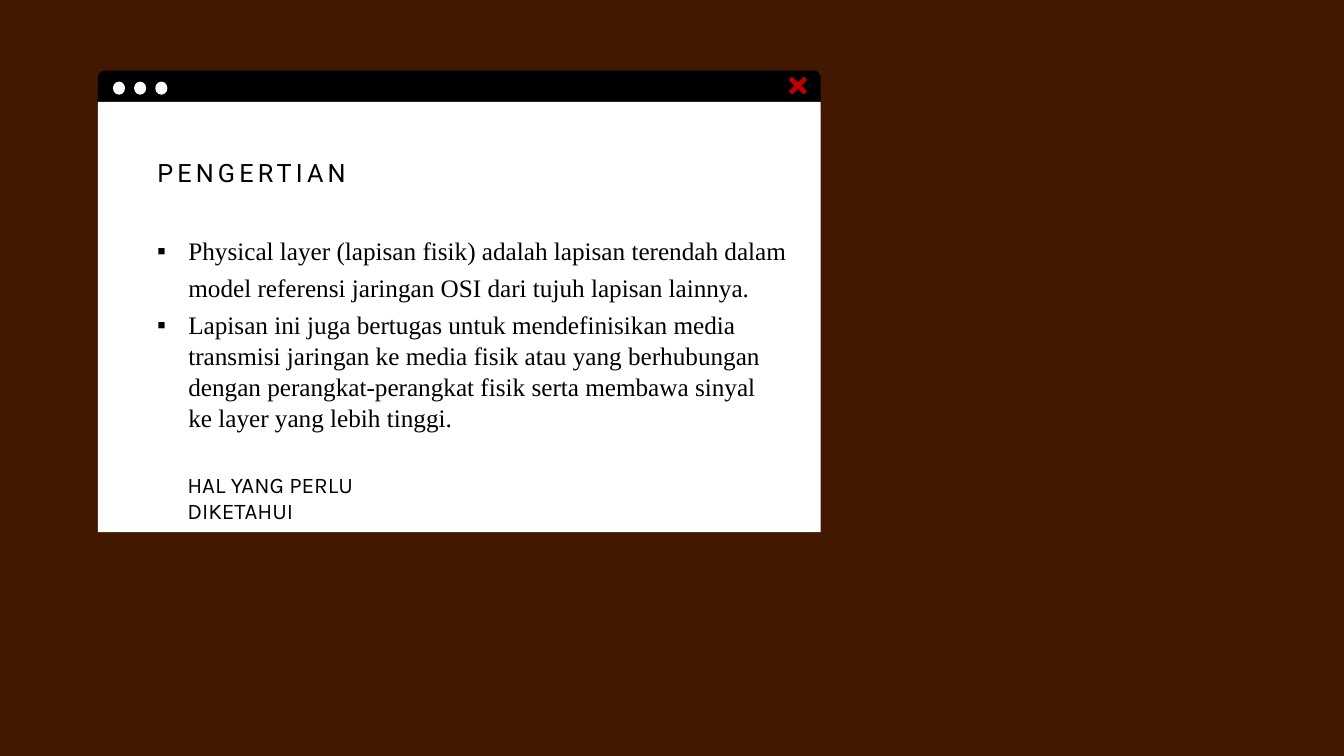
import typing
from dataclasses import dataclass

import pptx
import pptx.dml.color
import pptx.enum.shapes
import pptx.enum.text
import pptx.oxml.ns
import pptx.util
from lxml import etree

Inches = pptx.util.Inches
Kind = pptx.enum.shapes.MSO_SHAPE
HEX = {"brown": "421800", "black": "000000", "white": "FFFFFF", "red": "C00000"}
SERIF = "Times New Roman"
HANG = Inches(0.31)


@dataclass
class Box:
    left: float
    top: float
    width: float
    height: float

    def place(self) -> list:
        return [Inches(n) for n in (self.left, self.top, self.width, self.height)]


@dataclass
class Point:
    box: Box
    text: str
    pitch: float


def color(name: str) -> pptx.dml.color.RGBColor:
    return pptx.dml.color.RGBColor.from_string(HEX[name])


def draw(shapes: typing.Any, kind: Kind, box: Box, fill: str) -> typing.Any:
    shape = shapes.add_shape(kind, *box.place())
    shape.shadow.inherit = False
    shape.fill.solid()
    shape.fill.fore_color.rgb = color(fill)
    shape.line.fill.background()
    return shape


def write(shape: typing.Any, text: str, font: str, size: float = 18, gap: float = 0,
          pitch: float = 1, bullet: str = "", middle: bool = False) -> None:
    frame = shape.text_frame
    frame.word_wrap = True
    frame.auto_size = pptx.enum.text.MSO_AUTO_SIZE.NONE
    anchor = pptx.enum.text.MSO_ANCHOR
    frame.vertical_anchor = anchor.MIDDLE if middle else anchor.TOP
    para = frame.paragraphs[0]
    para.alignment = pptx.enum.text.PP_ALIGN.LEFT
    para.line_spacing = pitch
    run = para.add_run()
    run.text = text
    run.font.name = font
    run.font.size = pptx.util.Pt(size)
    run.font.color.rgb = color("black")
    if gap:
        run.font._element.set("spc", str(int(gap * 100)))
    if bullet:
        props = para._p.get_or_add_pPr()
        props.set("marL", str(HANG))
        props.set("indent", str(-HANG))
        qn = pptx.oxml.ns.qn
        etree.SubElement(props, qn("a:buFont")).set("typeface", "Arial")
        etree.SubElement(props, qn("a:buChar")).set("char", bullet)


deck = pptx.Presentation()
deck.slide_width, deck.slide_height = Inches(13.33), Inches(7.5)
slide = deck.slides.add_slide(deck.slide_layouts[5])
slide.background.fill.solid()
slide.background.fill.fore_color.rgb = color("brown")
shapes = slide.shapes

# Window bar with its three dots
bar = shapes.add_group_shape()
draw(bar.shapes, Kind.ROUNDED_RECTANGLE, Box(0.97, 0.7, 7.17, 0.41), "black")
for i in range(3):
    draw(bar.shapes, Kind.OVAL, Box(1.12 + 0.21 * i, 0.81, 0.12, 0.13), "white")

# Window page
draw(shapes, Kind.RECTANGLE, Box(0.97, 1.01, 7.17, 4.27), "white")

# Title, raised above the page
title = shapes.title
title.left, title.top, title.width, title.height = Box(1.46, 1.51, 3.57, 0.4).place()
write(title, "PENGERTIAN", "Roboto", gap=3, middle=True)
shapes._spTree.append(title._element)

# Bullet points
points = [
    Point(Box(1.46, 2.23, 6.51, 0.75),
          "Physical layer (lapisan fisik) adalah lapisan terendah dalam "
          "model referensi jaringan OSI dari tujuh lapisan lainnya.", 1.2),
    Point(Box(1.46, 3.01, 6.25, 1.31),
          "Lapisan ini juga bertugas untuk mendefinisikan media "
          "transmisi jaringan ke media fisik atau yang berhubungan "
          "dengan perangkat-perangkat fisik serta membawa sinyal "
          "ke layer yang lebih tinggi.", 1.03),
]
for point in points:
    write(shapes.add_textbox(*point.box.place()), point.text, SERIF,
          pitch=point.pitch, bullet="▪")

# Closing line
note = shapes.add_textbox(*Box(1.76, 4.62, 2.63, 0.37).place())
write(note, "HAL YANG PERLU DIKETAHUI", "Karla", size=16)

# Close mark
cross = draw(shapes, Kind.MATH_MULTIPLY, Box(7.78, 0.72, 0.27, 0.26), "red")
cross.adjustments[0] = 0.126
cross.line.color.rgb = color("red")
cross.line.width = pptx.util.Pt(1)

deck.save("out.pptx")
